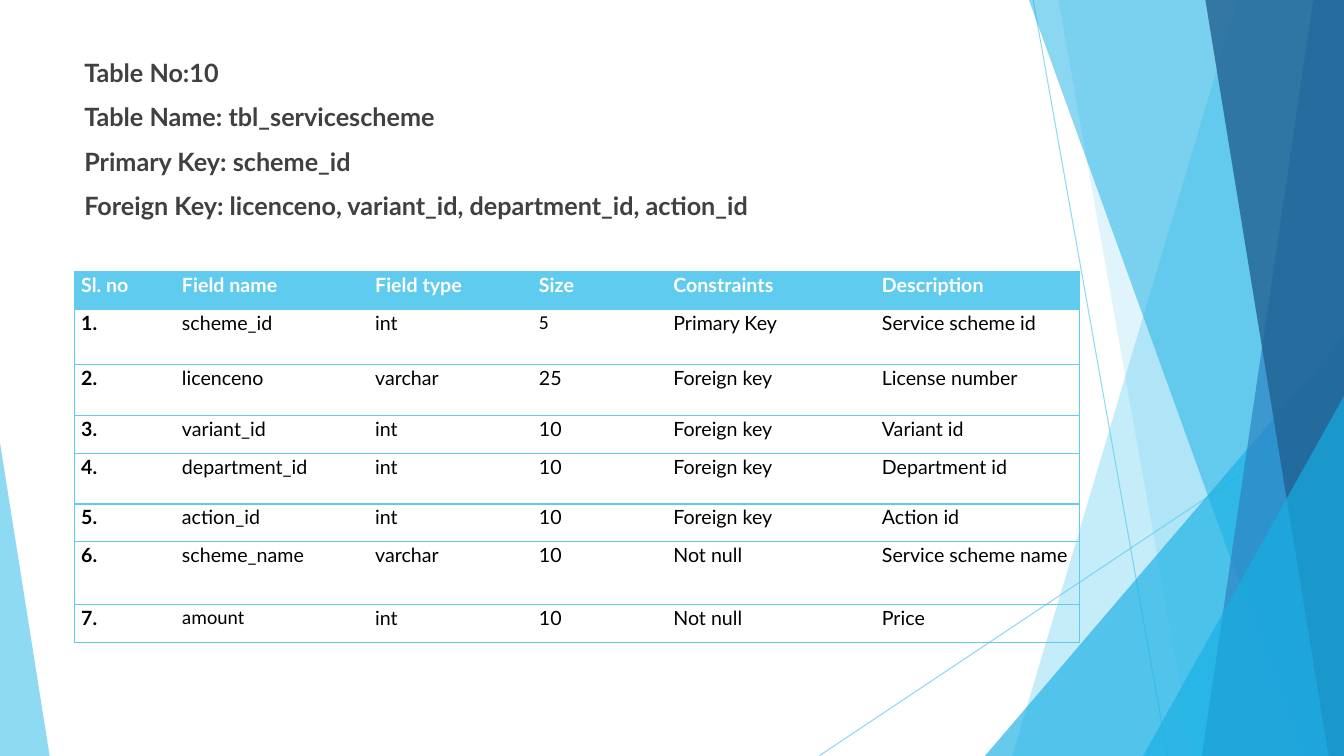
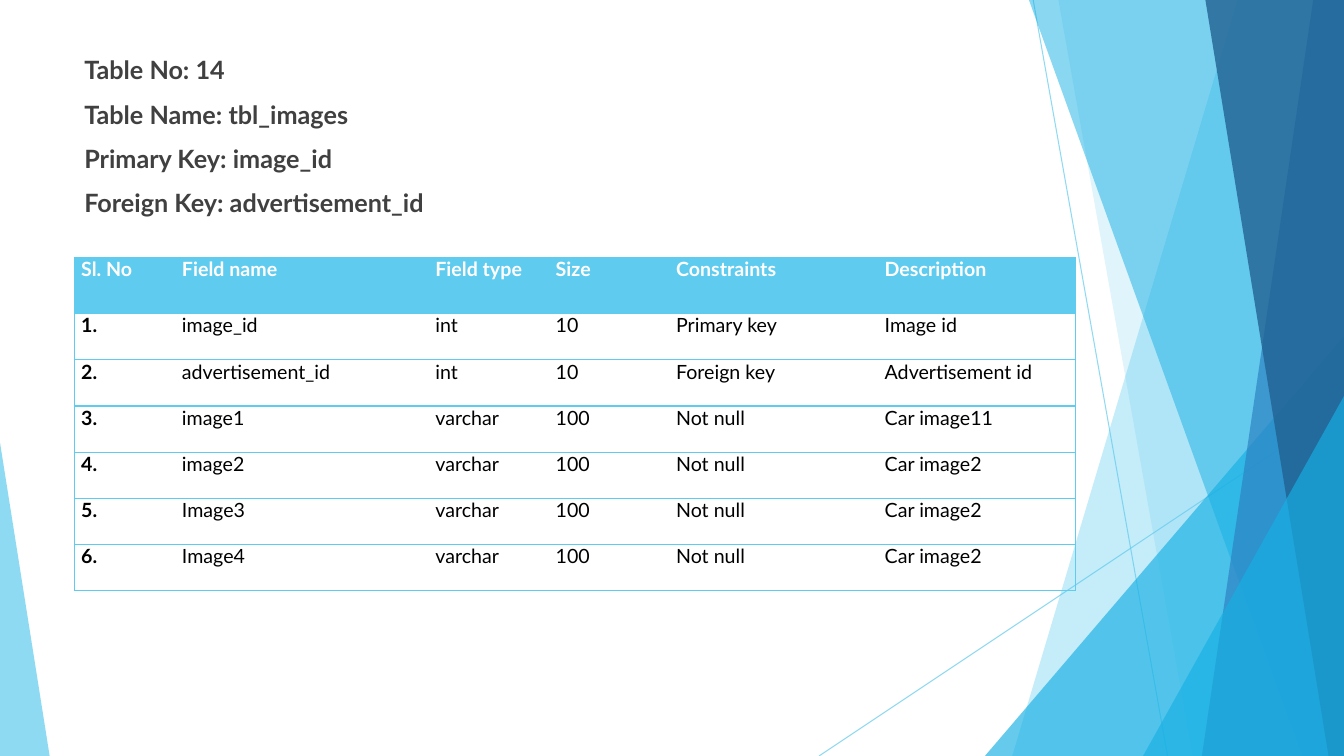
import dataclasses

import pptx
import pptx.dml.color
import pptx.enum.shapes
import pptx.enum.text
import pptx.oxml
import pptx.oxml.ns
import pptx.util

Pt = pptx.util.Pt
SHAPES = pptx.enum.shapes.MSO_SHAPE
ALIGN = pptx.enum.text.PP_ALIGN
WIDTH, HEIGHT = 960, 540
LEFT = 53
SKY, CYAN, BLUE, NAVY = "5FCBEF", "17B0E4", "2E83C3", "226292"
WHITE, BLACK, GRAY = "FFFFFF", "000000", "404040"
HEADER_ROW = 0


@dataclasses.dataclass
class FieldTable:
    heading_top: float
    heading_height: float
    heading: list
    top: float
    columns: list
    heights: list
    rows: list
    line_spacing: float = 1.0
    header_align: ALIGN = ALIGN.LEFT
    calibri_cells: tuple = ()


SERVICE_SCHEME = FieldTable(
    heading_top=37.5,
    heading_height=438.5,
    heading=[
        "Table No:10",
        "Table Name: tbl_servicescheme",
        "Primary Key: scheme_id",
        "Foreign Key: licenceno, variant_id, department_id, action_id",
    ],
    top=194,
    columns=[72, 138, 117, 96, 149, 146],
    heights=[27, 39.5, 36.5, 27, 36, 27, 45, 27],
    rows=[
        ["Sl. no", "Field name", "Field type", "Size", "Constraints", "Description"],
        ["1.", "scheme_id", "int", "5", "Primary Key", "Service scheme id"],
        ["2.", "licenceno", "varchar", "25", "Foreign key", "License number"],
        ["3.", "variant_id", "int", "10", "Foreign key", "Variant id"],
        ["4.", "department_id", "int", "10", "Foreign key", "Department id"],
        ["5.", "action_id", "int", "10", "Foreign key", "Action id"],
        ["6.", "scheme_name", "varchar", "10", "Not null", "Service scheme name"],
        ["7.", "amount", "int", "10", "Not null", "Price"],
    ],
    line_spacing=1.07,
    calibri_cells=((1, 3), (7, 1)),
)

IMAGES = FieldTable(
    heading_top=35.5,
    heading_height=440,
    heading=[
        "Table No: 14",
        "Table Name: tbl_images",
        "Primary Key: image_id",
        "Foreign Key: advertisement_id",
    ],
    top=184,
    columns=[72, 181, 86, 86, 149, 141],
    heights=[40] + [33] * 6,
    rows=[
        ["Sl. No", "Field name", "Field type", "Size", "Constraints", "Description"],
        ["1.", "image_id", "int", "10", "Primary key", "Image id"],
        ["2.", "advertisement_id", "int", "10", "Foreign key", "Advertisement id"],
        ["3.", "image1", "varchar", "100", "Not null", "Car image11"],
        ["4.", "image2", "varchar", "100", "Not null", "Car image2"],
        ["5.", "Image3", "varchar", "100", "Not null", "Car image2"],
        ["6.", "Image4", "varchar", "100", "Not null", "Car image2"],
    ],
    header_align=ALIGN.JUSTIFY,
)


def rgb(value):
    return pptx.dml.color.RGBColor.from_string(value)


def add_child(parent, tag, **attributes):
    child = pptx.oxml.parse_xml(f"<{tag} {pptx.oxml.ns.nsdecls('a')}/>")
    for name, value in attributes.items():
        child.set(name, str(value))
    parent.append(child)
    return child


def set_opacity(element, percent):
    for color in element.xpath(".//p:spPr//a:srgbClr"):
        add_child(color, "a:alpha", val=percent * 1000)


def paint(shape, color, opacity):
    shape.shadow.inherit = False
    shape.fill.solid()
    shape.fill.fore_color.rgb = rgb(color)
    shape.line.fill.background()
    set_opacity(shape.element, opacity)


def add_ray(group, start, end):
    ray = group.shapes.add_connector(
        pptx.enum.shapes.MSO_CONNECTOR.STRAIGHT, *map(Pt, start + end)
    )
    ray.line.color.rgb = rgb(SKY)
    ray.line.width = Pt(0.75)
    set_opacity(ray.element, 70)
    add_child(ray.element.spPr, "a:effectLst")


def add_band(group, top_x, bottom_x, color, opacity):
    builder = group.shapes.build_freeform(Pt(top_x), 0)
    corners = [(WIDTH, 0), (WIDTH, HEIGHT), (bottom_x, HEIGHT)]
    builder.add_line_segments([(Pt(x), Pt(y)) for x, y in corners], close=True)
    paint(builder.convert_to_shape(), color, opacity)


def add_wedge(group, left, right, top, apex, color, opacity):
    wedge = group.shapes.add_shape(
        SHAPES.ISOSCELES_TRIANGLE, Pt(left), Pt(top), Pt(right - left), Pt(HEIGHT - top)
    )
    wedge.adjustments[0] = apex
    paint(wedge, color, opacity)


def decorate_layout(page):
    group = page.shapes.add_group_shape()
    add_ray(group, (738, 0), (834, HEIGHT))
    add_ray(group, (WIDTH, 290), (585, HEIGHT))
    add_band(group, 884, 723, SKY, 36)
    add_band(group, 756, 852, SKY, 20)
    add_wedge(group, 703.5, WIDTH, 240, 1, CYAN, 66)
    add_band(group, 735, 930, CYAN, 50)
    add_band(group, 938, 858.5, BLUE, 70)
    add_band(group, 861, 949, NAVY, 80)
    add_wedge(group, 816.5, WIDTH, 283, 1, CYAN, 66)
    add_wedge(group, 0, 35.5, 316, 0, SKY, 70)

    layout = page.slide_layout
    layout.shapes.element.insert(2, group.element)
    for number, node in enumerate(layout.element.xpath(".//p:cNvPr"), 1):
        node.set("id", str(number))


def format_text(para, size, color, bold, font="Lato"):
    for span in para.runs:
        span.font.name = font
        span.font.size = Pt(size)
        span.font.bold = bold
        span.font.color.rgb = rgb(color)


def add_heading(page, content):
    title = page.shapes.title
    title.element.getparent().remove(title.element)
    box = page.placeholders[1]
    box.left, box.top = Pt(LEFT), Pt(content.heading_top)
    box.width, box.height = Pt(677), Pt(content.heading_height)
    frame = box.text_frame
    frame.text = "\n".join(content.heading)
    frame.auto_size = pptx.enum.text.MSO_AUTO_SIZE.NONE
    frame.vertical_anchor = pptx.enum.text.MSO_ANCHOR.TOP
    for index, para in enumerate(frame.paragraphs):
        properties = para._p.get_or_add_pPr()
        properties.set("marL", "0")
        properties.set("indent", "0")
        add_child(properties, "a:buNone")
        para.space_before = Pt(10 if index else 0)
        format_text(para, 18, GRAY, True)


def set_borders(cell, visible_sides):
    properties = cell._tc.get_or_add_tcPr()
    for side in "LRTB":
        line = add_child(properties, f"a:ln{side}", w=Pt(1))
        if side in visible_sides:
            add_child(add_child(line, "a:solidFill"), "a:srgbClr", val=SKY)
        else:
            add_child(line, "a:noFill")


def format_cell(cell, row, column, content):
    header = row == HEADER_ROW
    sides = "TB"
    if column == 0:
        sides += "L"
    if column == len(content.columns) - 1:
        sides += "R"
    set_borders(cell, sides)
    if header:
        cell.fill.solid()
        cell.fill.fore_color.rgb = rgb(SKY)
    else:
        cell.fill.background()
    cell.margin_left = cell.margin_right = Pt(5)
    cell.margin_top = cell.margin_bottom = 0
    para = cell.text_frame.paragraphs[0]
    para.line_spacing = content.line_spacing
    para.alignment = content.header_align if header else ALIGN.LEFT
    font = "Calibri" if (row, column) in content.calibri_cells else "Lato"
    format_text(para, 14, WHITE if header else BLACK, header or column == 0, font)


def add_field_table(page, content):
    table = page.shapes.add_table(
        len(content.rows), len(content.columns), Pt(LEFT), Pt(content.top),
        Pt(sum(content.columns)), Pt(sum(content.heights)),
    ).table
    table.horz_banding = False
    for column, width in zip(table.columns, content.columns):
        column.width = Pt(width)
    for row, height in zip(table.rows, content.heights):
        row.height = Pt(height)
    for row, texts in enumerate(content.rows):
        for column, text in enumerate(texts):
            cell = table.cell(row, column)
            cell.text_frame.text = text
            format_cell(cell, row, column, content)


def main():
    deck = pptx.Presentation()
    deck.slide_width, deck.slide_height = Pt(WIDTH), Pt(HEIGHT)
    layout = deck.slide_layouts.get_by_name("Title and Content")
    for content in (SERVICE_SCHEME, IMAGES):
        page = deck.slides.add_slide(layout)
        add_heading(page, content)
        add_field_table(page, content)
    decorate_layout(page)
    deck.save("out.pptx")


if __name__ == "__main__":
    main()
